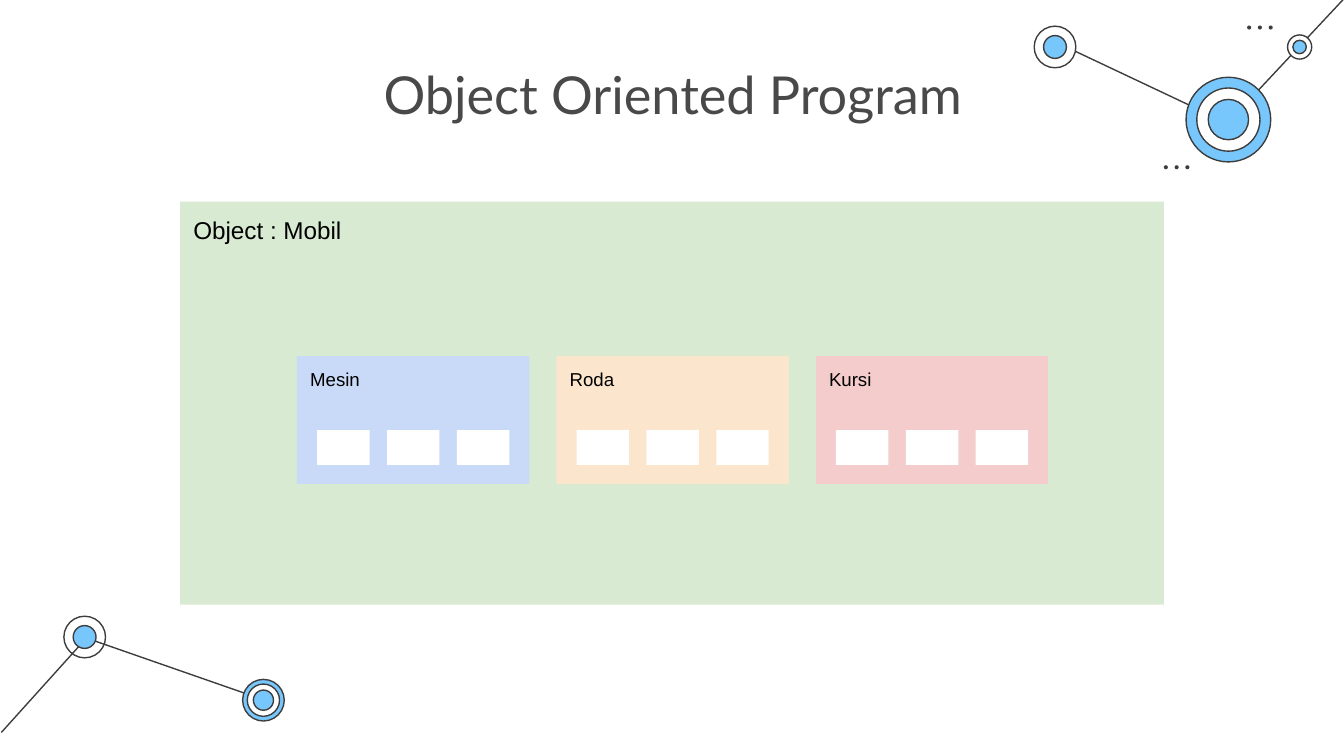
import pptx
import pptx.util
import pptx.dml.color
import pptx.enum.shapes
import pptx.enum.text
import pptx.oxml.ns
import lxml.etree
from pptx.util import Inches

INK, BLUE, WHITE = "3D3D3D", "77C6FC", "FFFFFF"
SHAPE = pptx.enum.shapes.MSO_SHAPE
ALIGN = pptx.enum.text.PP_ALIGN
ANCHOR = pptx.enum.text.MSO_ANCHOR


def rgb(color):
    return pptx.dml.color.RGBColor.from_string(color)


class Deck:
    def __init__(self, prs):
        self.s = prs.slides.add_slide(prs.slide_layouts[6])
        self.line_width = pptx.util.Pt(0.75)

    def shape(self, kind, x, y, w, h, fill=None, line=None):
        sp = self.s.shapes.add_shape(kind, Inches(x), Inches(y), Inches(w), Inches(h))
        sp.shadow.inherit = False
        if fill:
            sp.fill.solid()
            sp.fill.fore_color.rgb = rgb(fill)
        else:
            sp.fill.background()
        if line:
            sp.line.color.rgb = rgb(line)
            sp.line.width = self.line_width
        else:
            sp.line.fill.background()
        return sp

    def rect(self, x, y, w, h, fill):
        return self.shape(SHAPE.RECTANGLE, x, y, w, h, fill)

    def line(self, x1, y1, x2, y2):
        c = self.s.shapes.add_connector(
            pptx.enum.shapes.MSO_CONNECTOR.STRAIGHT,
            Inches(x1), Inches(y1), Inches(x2), Inches(y2))
        c.line.color.rgb = rgb(INK)
        c.line.width = self.line_width
        lxml.etree.SubElement(c._element.spPr, pptx.oxml.ns.qn("a:effectLst"))

    def node(self, cx, cy, *rings):
        """Concentric circles, given as (diameter, fill) from the outside in."""
        for d, fill in rings:
            self.shape(SHAPE.OVAL, cx - d / 2, cy - d / 2, d, d, fill, INK)

    def dots(self, x, y):
        for i in range(3):
            self.shape(SHAPE.OVAL, x + i * 0.08, y, 0.03, 0.03, INK)

    def text(self, x, y, w, h, text, size, font="Arial", color="000000",
             align=ALIGN.LEFT, anchor=ANCHOR.TOP):
        tf = self.s.shapes.add_textbox(Inches(x), Inches(y), Inches(w), Inches(h)).text_frame
        tf.word_wrap = True
        tf.vertical_anchor = anchor
        tf.margin_left = tf.margin_right = tf.margin_top = tf.margin_bottom = Inches(0.1)
        tf.text = text
        p = tf.paragraphs[0]
        p.alignment = align
        r = p.runs[0]
        r.font.size = pptx.util.Pt(size)
        r.font.name = font
        r.font.color.rgb = rgb(color)


# Widescreen slide, 16:9
prs = pptx.Presentation()
prs.slide_width = Inches(10)
prs.slide_height = Inches(10 * 9 / 16)
deck = Deck(prs)

# Network in the bottom left corner
deck.line(0.65, 4.75, 1.97, 5.21)
deck.line(0.01, 5.45, 0.65, 4.74)
deck.node(0.63, 4.74, (0.31, None), (0.17, BLUE))
deck.node(1.96, 5.21, (0.31, BLUE), (0.24, WHITE), (0.15, BLUE))

# Network in the top right corner
deck.line(9.14, 0.92, 7.87, 0.32)
deck.line(10, -0.01, 9.14, 0.91)
deck.node(9.14, 0.89, (0.63, BLUE), (0.47, WHITE), (0.3, BLUE))
deck.node(7.85, 0.35, (0.31, WHITE), (0.17, BLUE))
deck.node(9.67, 0.35, (0.18, WHITE), (0.1, BLUE))
deck.dots(9.28, 0.19)
deck.dots(8.66, 1.23)

# Title
deck.text(2.3, 0.38, 5.41, 0.64, "Object Oriented Program", 28, "Lato", "494949",
          ALIGN.CENTER, ANCHOR.MIDDLE)

# Object panel
deck.rect(1.34, 1.5, 7.32, 3, "D9EAD3")
deck.text(1.34, 1.5, 3.82, 0.42, "Object : Mobil", 13)

# Parts of the object, each with three slots
parts = [("Mesin", "C9DAF8"), ("Roda", "FCE5CD"), ("Kursi", "F4CCCC")]
for i, (name, fill) in enumerate(parts):
    x = 2.21 + i * 1.93
    deck.rect(x, 2.65, 1.73, 0.95, fill)
    deck.text(x, 2.65, 0.92, 0.37, name, 10)
    for j in range(3):
        deck.rect(x + 0.15 + j * 0.52, 3.2, 0.39, 0.26, WHITE)

prs.save("out.pptx")
